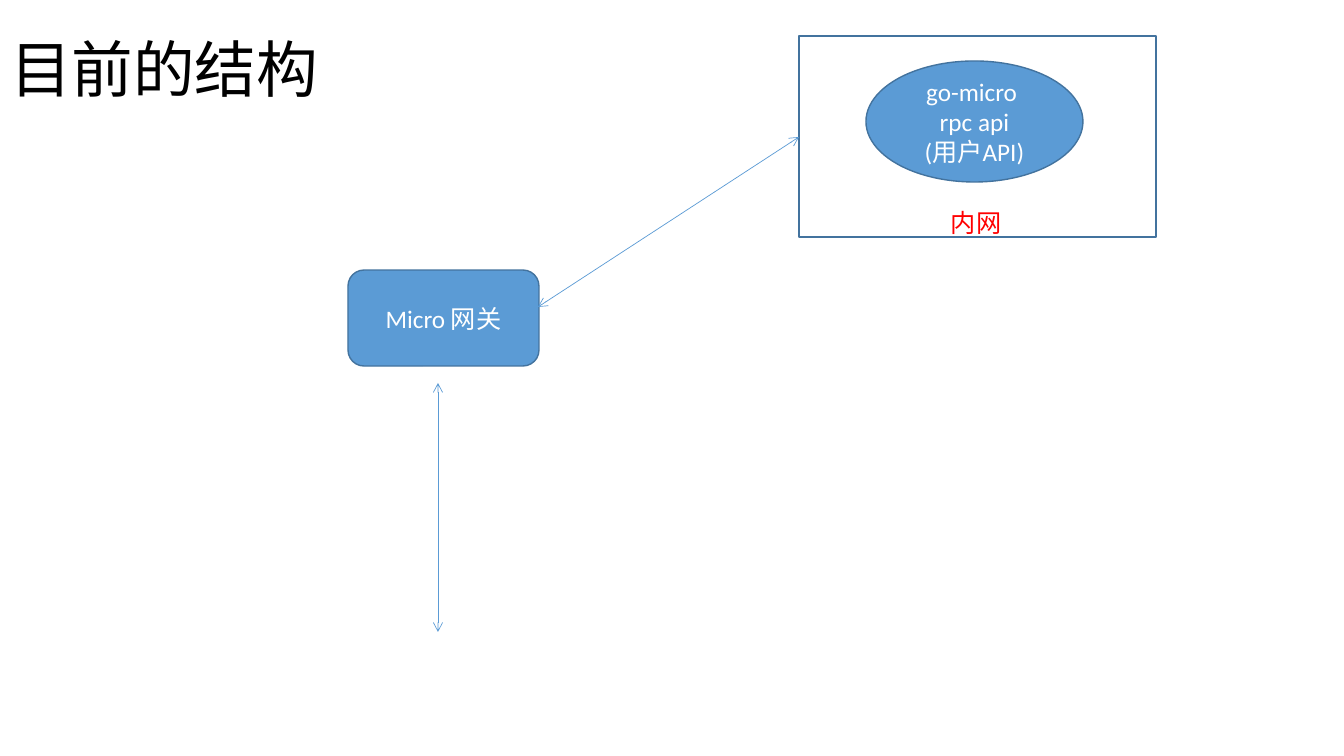
from lxml import etree
from pptx import Presentation
from pptx import util as u
from pptx.dml.color import RGBColor
from pptx.enum import shapes, text
from pptx.oxml.ns import qn

WIDTH, HEIGHT = 1344, 756
FONT = "Calibri"
BLUE, EDGE, WHITE, RED, BLACK = "5B9BD5", "43739E", "FFFFFF", "FF0000", "000000"
KIND = shapes.MSO_SHAPE

TITLE = ("目前的结构", (0, 0, 1159, 146))
NODES = [
    (KIND.OVAL, (866, 61, 217, 121), BLUE, ["go-micro ", "rpc api", "(用户API)"]),
    (KIND.RECTANGLE, (799, 36, 357, 201), None, []),
    (KIND.ROUNDED_RECTANGLE, (348, 270, 191, 96), BLUE, ["Micro 网关"]),
]
NETWORK_LABEL = ("内网", (941, 202, 142, 40))
ARROWS = [(538, 307, 799, 137), (438, 383, 438, 632)]


def px(*lengths):
    return [u.Emu(round(n * 914400 / 100.8)) for n in lengths]


def rgb(value):
    return RGBColor.from_string(value)


def write(tf, lines, size, color, align):
    tf.word_wrap = True
    for i, line in enumerate(lines):
        p = tf.add_paragraph() if i else tf.paragraphs[0]
        p.alignment = align
        r = p.add_run()
        r.text = line
        r.font.size = u.Pt(size)
        r.font.name = FONT
        r.font.color.rgb = rgb(color)


def add_node(s, kind, box, fill, lines):
    sp = s.shapes.add_shape(kind, *px(*box))
    sp.shadow.inherit = False
    if fill:
        sp.fill.solid()
        sp.fill.fore_color.rgb = rgb(fill)
    else:
        sp.fill.background()
    sp.line.color.rgb = rgb(EDGE)
    sp.line.width = u.Pt(1)
    sp.text_frame.vertical_anchor = text.MSO_ANCHOR.MIDDLE
    write(sp.text_frame, lines, 18, WHITE, text.PP_ALIGN.CENTER)


def add_arrow(s, ends):
    cx = s.shapes.add_connector(shapes.MSO_CONNECTOR.STRAIGHT, *px(*ends))
    cx.line.color.rgb = rgb(BLUE)
    cx.line.width = u.Pt(0.5)
    ln = cx.line._get_or_add_ln()
    for end in ("a:headEnd", "a:tailEnd"):
        etree.SubElement(ln, qn(end), type="arrow")
    etree.SubElement(cx._element.spPr, qn("a:effectLst"))


def main():
    prs = Presentation()
    prs.slide_width, prs.slide_height = px(WIDTH, HEIGHT)
    s = prs.slides.add_slide(prs.slide_layouts[5])

    name, box = TITLE
    title = s.shapes.title
    title.left, title.top, title.width, title.height = px(*box)
    title.text_frame.vertical_anchor = text.MSO_ANCHOR.MIDDLE
    write(title.text_frame, [name], 44, BLACK, text.PP_ALIGN.LEFT)
    title.text_frame.paragraphs[0].line_spacing = 0.9

    for node in NODES:
        add_node(s, *node)

    name, box = NETWORK_LABEL
    label = s.shapes.add_textbox(*px(*box))
    write(label.text_frame, [name], 18, RED, text.PP_ALIGN.LEFT)
    label.text_frame.auto_size = text.MSO_AUTO_SIZE.SHAPE_TO_FIT_TEXT

    for ends in ARROWS:
        add_arrow(s, ends)

    prs.save("out.pptx")


if __name__ == "__main__":
    main()
